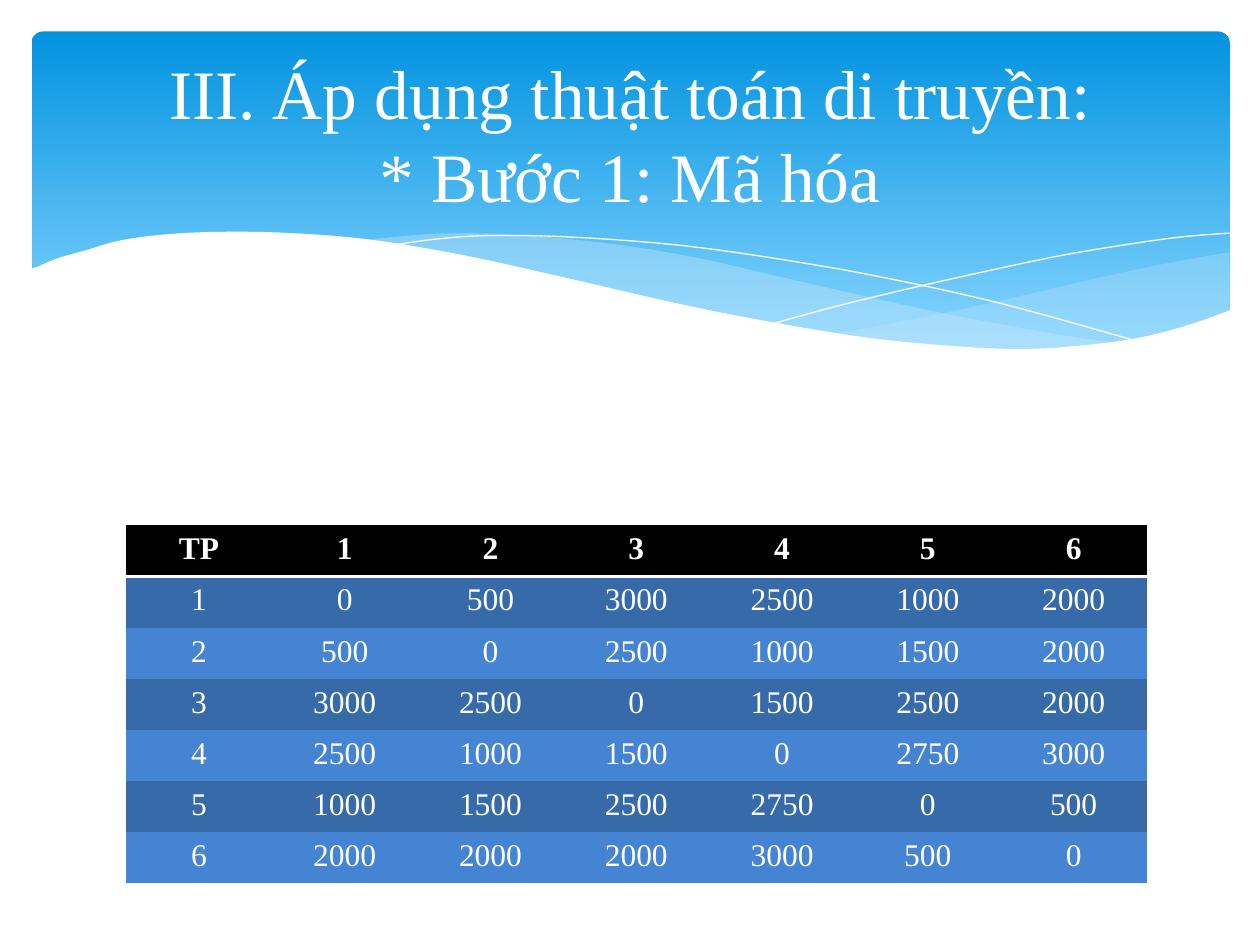
from lxml import etree
from pptx import Presentation, util as u
from pptx.dml.color import RGBColor
from pptx.enum import shapes, text
from pptx.oxml import ns

Inches, Pt = u.Inches, u.Pt
FONT = "Times New Roman"
WHITE = RGBColor(0xFF, 0xFF, 0xFF)
BLACK = RGBColor(0, 0, 0)
SKY_DARK = RGBColor(0x02, 0x93, 0xE0)
SKY_LIGHT = RGBColor(0x83, 0xD3, 0xFE)
WAVE_BLUE = RGBColor(0xC6, 0xE7, 0xFC)
ROW_FILLS = (RGBColor(0x37, 0x6A, 0xA9), RGBColor(0x45, 0x84, 0xD3))
PLAIN_TABLE_STYLE = "{2D5ABB26-0587-4C30-8999-92F81FD0307C}"

# Curve knots, in inches from the banner's top left corner
RIGHT_WAVE = (
    [(9.51, 1.75), (8.96, 1.85), (8.36, 1.98), (7.54, 2.17), (6.81, 2.32), (6.36, 2.4)],
    [(6.36, 2.4), (6.94, 2.47), (7.56, 2.52), (7.89, 2.53), (8.29, 2.51),
     (8.72, 2.45), (9.1, 2.37), (9.51, 2.22)],
)
LEFT_WAVE = (
    [(8.68, 2.48), (8.12, 2.4), (7.16, 2.22), (6.04, 1.97), (5.3, 1.8),
     (4.64, 1.69), (3.95, 1.62), (3.36, 1.6), (2.88, 1.63), (2.61, 1.66)],
    [(2.61, 1.66), (3.37, 1.78), (4.24, 1.97), (5.05, 2.15), (5.93, 2.33),
     (6.7, 2.45), (7.36, 2.52), (7.93, 2.53), (8.32, 2.52), (8.68, 2.48)],
)
FALLING_LINE = [(2.84, 1.7), (3.19, 1.65), (3.62, 1.62), (4.25, 1.63), (5.08, 1.69),
                (5.83, 1.79), (6.7, 1.94), (7.7, 2.16), (8.82, 2.47)]
RISING_LINE = [(5.88, 2.32), (6.47, 2.16), (7.23, 1.98), (8.11, 1.79),
               (8.7, 1.69), (9.13, 1.63), (9.51, 1.6)]
LOWER_EDGE = [(9.52, 2.21), (9.15, 2.34), (8.74, 2.44), (8.25, 2.5), (7.84, 2.52),
              (7.36, 2.5), (6.63, 2.43), (5.78, 2.29), (5.04, 2.14), (4.22, 1.95),
              (3.4, 1.77), (2.67, 1.65), (2.05, 1.6), (1.52, 1.59), (1.07, 1.61),
              (0.7, 1.66), (0.42, 1.74), (0.21, 1.8), (0.04, 1.87), (-0.02, 1.88)]
BELOW_EDGE = [(-0.02, 3.04), (9.52, 3.04)]

DISTANCES = [
    [0, 500, 3000, 2500, 1000, 2000],
    [500, 0, 2500, 1000, 1500, 2000],
    [3000, 2500, 0, 1500, 2500, 2000],
    [2500, 1000, 1500, 0, 2750, 3000],
    [1000, 1500, 2500, 2750, 0, 500],
    [2000, 2000, 2000, 3000, 500, 0],
]


def smooth_curve(knots, steps=6):
    """Return points on a Catmull-Rom spline through the knots."""
    padded = [knots[0], *knots, knots[-1]]
    points = [knots[0]]
    for a, b, c, d in zip(padded, padded[1:], padded[2:], padded[3:]):
        for step in range(1, steps + 1):
            t = step / steps
            points.append(tuple(
                (2 * q + (r - p) * t + (2 * p - 5 * q + 4 * r - s) * t ** 2
                 + (3 * q - p - 3 * r + s) * t ** 3) / 2
                for p, q, r, s in zip(a, b, c, d)))
    return points


def add_outline(slide, left, top, points, fill=None, opacity=100):
    """Draw a filled closed shape, or a white hairline when fill is None."""
    places = [(left + Inches(x), top + Inches(y)) for x, y in points]
    builder = slide.shapes.build_freeform(*places[0])
    builder.add_line_segments(places[1:], close=fill is not None)
    shape = builder.convert_to_shape()
    shape.shadow.inherit = False
    if fill is None:
        shape.fill.background()
        shape.line.color.rgb = WHITE
        shape.line.width = Pt(0)
        return
    shape.line.fill.background()
    shape.fill.solid()
    shape.fill.fore_color.rgb = fill
    if opacity < 100:
        color = next(shape.element.spPr.iter(ns.qn("a:srgbClr")))
        etree.SubElement(color, ns.qn("a:alpha"), val=str(opacity * 1000))


def add_banner(slide, left, top, width, height):
    panel = slide.shapes.add_shape(
        shapes.MSO_SHAPE.ROUNDED_RECTANGLE, left, top, width, height)
    panel.adjustments[0] = 0.034
    panel.shadow.inherit = False
    panel.line.fill.background()
    panel.fill.gradient()
    panel.fill.gradient_angle = 270
    stops = ((0, SKY_DARK), (0.9, SKY_LIGHT))
    for stop, (position, color) in zip(panel.fill.gradient_stops, stops):
        stop.position = position
        stop.color.rgb = color

    for (upper, lower), opacity in ((RIGHT_WAVE, 29), (LEFT_WAVE, 40)):
        points = smooth_curve(upper) + smooth_curve(lower)[1:]
        add_outline(slide, left, top, points, WAVE_BLUE, opacity)
    for knots in (FALLING_LINE, RISING_LINE):
        add_outline(slide, left, top, smooth_curve(knots))
    add_outline(slide, left, top, smooth_curve(LOWER_EDGE) + BELOW_EDGE, WHITE)


def format_paragraph(paragraph, size, bold=False):
    paragraph.alignment = text.PP_ALIGN.CENTER
    for run in paragraph.runs:
        run.font.name = FONT
        run.font.size = Pt(size)
        run.font.bold = bold
        run.font.color.rgb = WHITE


def add_title(slide, left, top, width, height):
    frame = slide.shapes.add_textbox(left, top, width, height).text_frame
    frame.word_wrap = True
    frame.vertical_anchor = text.MSO_ANCHOR.MIDDLE
    paragraph = frame.paragraphs[0]
    paragraph.text = "III. Áp dụng thuật toán di truyền:\v* Bước 1: Mã hóa"
    format_paragraph(paragraph, 39.6)


def add_bottom_border(cell, width, color):
    properties = cell._tc.get_or_add_tcPr()
    border = etree.Element(ns.qn("a:lnB"), w=str(Pt(width)))
    fill = etree.SubElement(border, ns.qn("a:solidFill"))
    etree.SubElement(fill, ns.qn("a:srgbClr"), val=str(color))
    properties.insert(0, border)


def add_distance_table(slide, left, top, width, height):
    cities = range(1, len(DISTANCES) + 1)
    rows = [["TP", *cities]]
    rows += [[city, *distances] for city, distances in zip(cities, DISTANCES)]
    frame = slide.shapes.add_table(len(rows), len(rows[0]), left, top, width, height)
    next(frame.element.iter(ns.qn("a:tableStyleId"))).text = PLAIN_TABLE_STYLE
    for row_index, values in enumerate(rows):
        header = row_index == 0
        for column_index, value in enumerate(values):
            cell = frame.table.cell(row_index, column_index)
            cell.text = str(value)
            format_paragraph(cell.text_frame.paragraphs[0], 18, bold=header)
            cell.fill.solid()
            cell.fill.fore_color.rgb = BLACK if header else ROW_FILLS[(row_index - 1) % 2]
            if header:
                add_bottom_border(cell, 2, WHITE)


def main():
    presentation = Presentation()
    presentation.slide_width, presentation.slide_height = Inches(10), Inches(7.5)
    slide = presentation.slides.add_slide(presentation.slide_layouts[6])
    add_banner(slide, Inches(0.25), Inches(0.25), Inches(9.51), Inches(2.7))
    add_distance_table(slide, Inches(1), Inches(4.17), Inches(8.1), Inches(2.84))
    add_title(slide, Inches(0.5), Inches(0.37), Inches(9), Inches(1.37))
    presentation.save("out.pptx")


if __name__ == "__main__":
    main()
